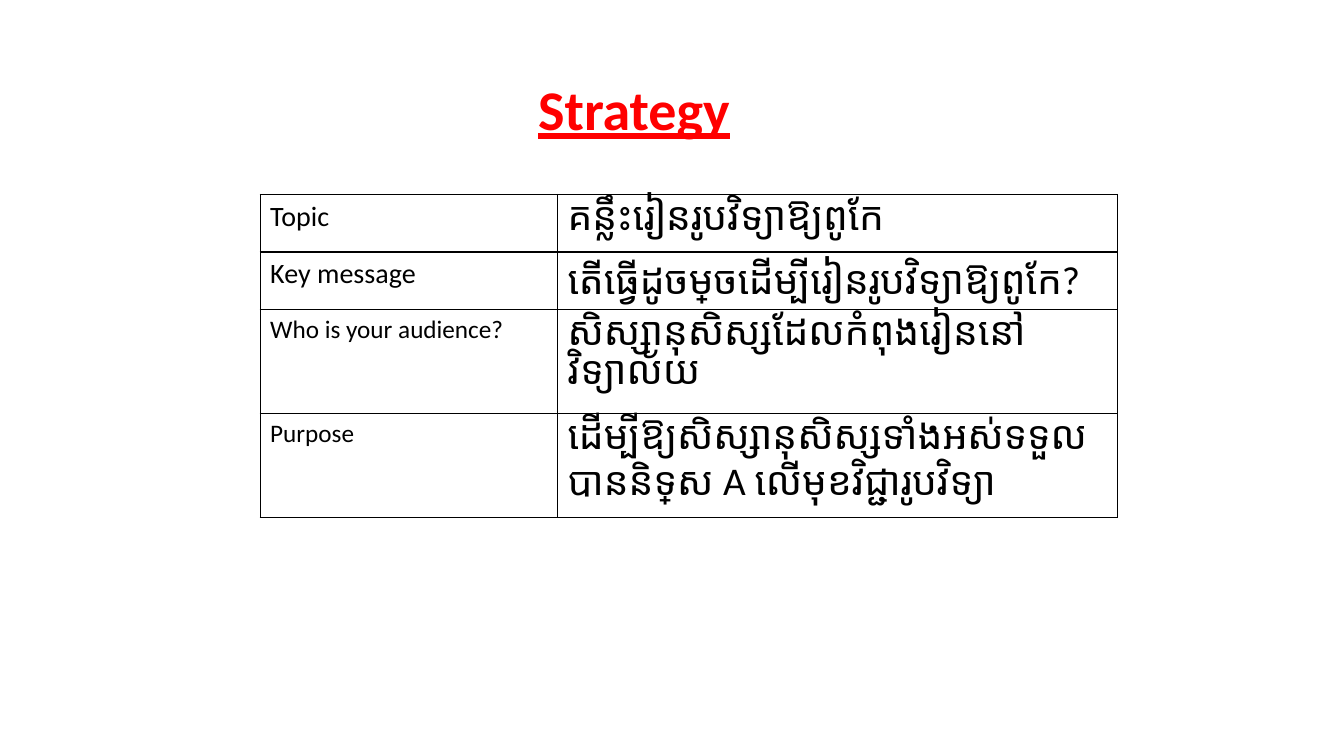
from lxml.etree import SubElement
from pptx import Presentation
from pptx.dml.color import RGBColor
from pptx.oxml.ns import qn
from pptx.util import Inches, Pt

BLACK, RED = "000000", "FF0000"


def color(hex_code):
    return RGBColor.from_string(hex_code)


def write(frame, text, hex_code, **formats):
    """Put one formatted run into the first paragraph of a text frame."""
    frame.word_wrap = True
    span = frame.paragraphs[0].add_run()
    span.text = text
    span.font.color.rgb = color(hex_code)
    for name, value in {"name": "Calibri", **formats}.items():
        setattr(span.font, name, value)


deck = Presentation()
deck.slide_width, deck.slide_height = Inches(13.33), Inches(7.5)
page = deck.slides.add_slide(deck.slide_layouts[6])

# Title
title = page.shapes.add_textbox(Inches(5.24), Inches(0.69), Inches(3.04), Inches(0.77))
write(title.text_frame, "Strategy", RED, size=Pt(40), bold=True, underline=True)

# Strategy table: label, label size, answer, row height
rows = [
    ("Topic", 20, "គន្លឹះរៀនរូបវិទ្យាឱ្យពូកែ", 0.57),
    ("Key message", 20, "តើធ្វើដូចម្ដេចដើម្បីរៀនរូបវិទ្យាឱ្យពូកែ?", 0.57),
    ("Who is your audience?", 18, "សិស្សានុសិស្សដែលកំពុងរៀននៅវិទ្យាល័យ", 1.03),
    ("Purpose", 18, "ដើម្បីឱ្យសិស្សានុសិស្សទាំងអស់ទទួលបាននិទ្ទេស A លើមុខវិជ្ជារូបវិទ្យា", 1.03),
]
column_widths = [2.95, 5.55]
answer_size = 28

table = page.shapes.add_table(
    len(rows), len(column_widths), Inches(2.58), Inches(1.93),
    Inches(sum(column_widths)), Inches(sum(row[-1] for row in rows)),
).table
table.first_row = table.horz_banding = False
for column, width in zip(table.columns, column_widths):
    column.width = Inches(width)

for index, (label, label_size, answer, height) in enumerate(rows):
    table.rows[index].height = Inches(height)
    for cell, text, size in zip(table.rows[index].cells, (label, answer), (label_size, answer_size)):
        write(cell.text_frame, text, BLACK, size=Pt(size))

        # Thin black borders go before the fill in the cell properties
        properties = cell._tc.get_or_add_tcPr()
        for side in ("lnL", "lnR", "lnT", "lnB"):
            border = SubElement(properties, qn(f"a:{side}"), w=str(Pt(1)))
            fill = SubElement(border, qn("a:solidFill"))
            SubElement(fill, qn("a:srgbClr"), val=BLACK)
        cell.fill.background()

deck.save("out.pptx")
